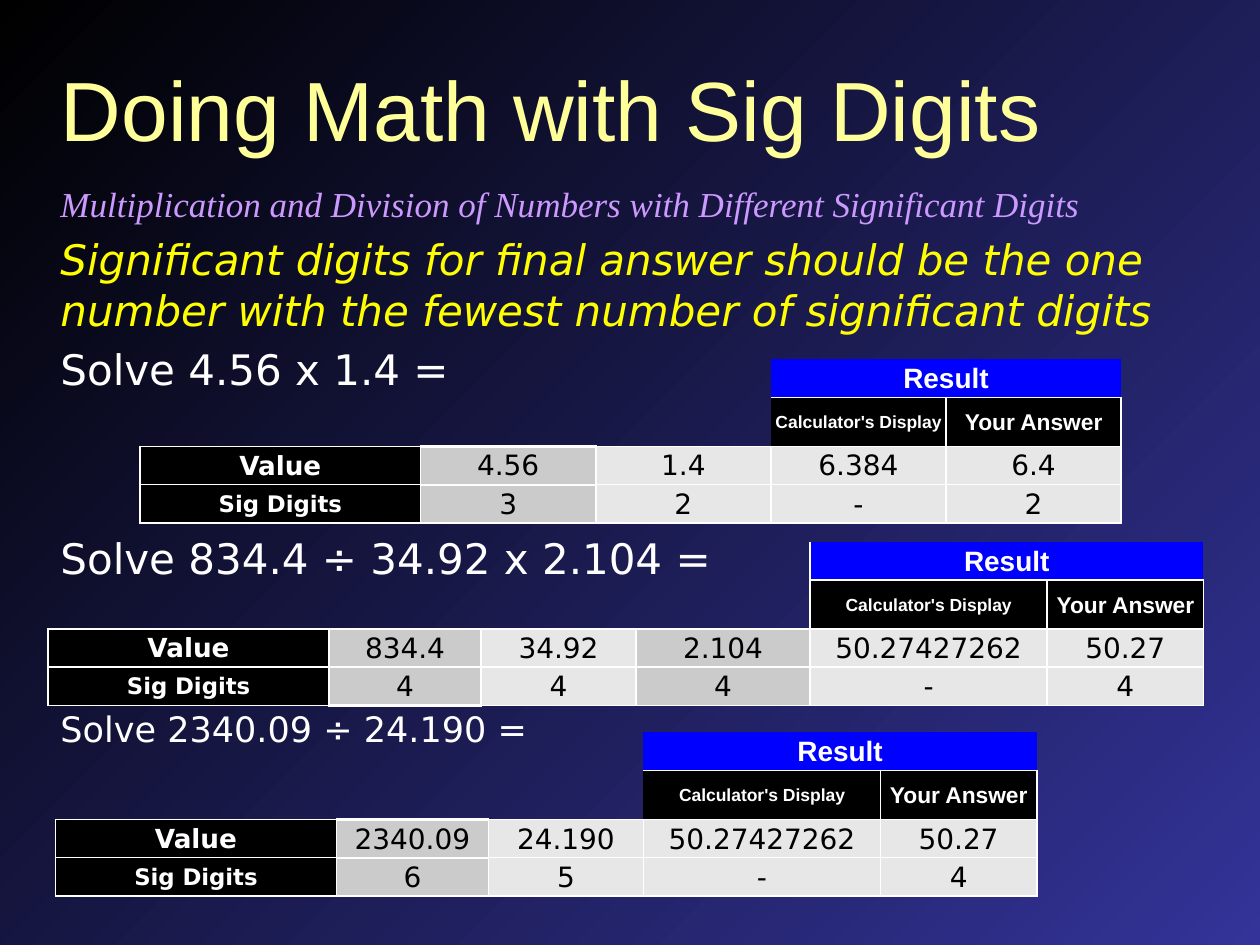
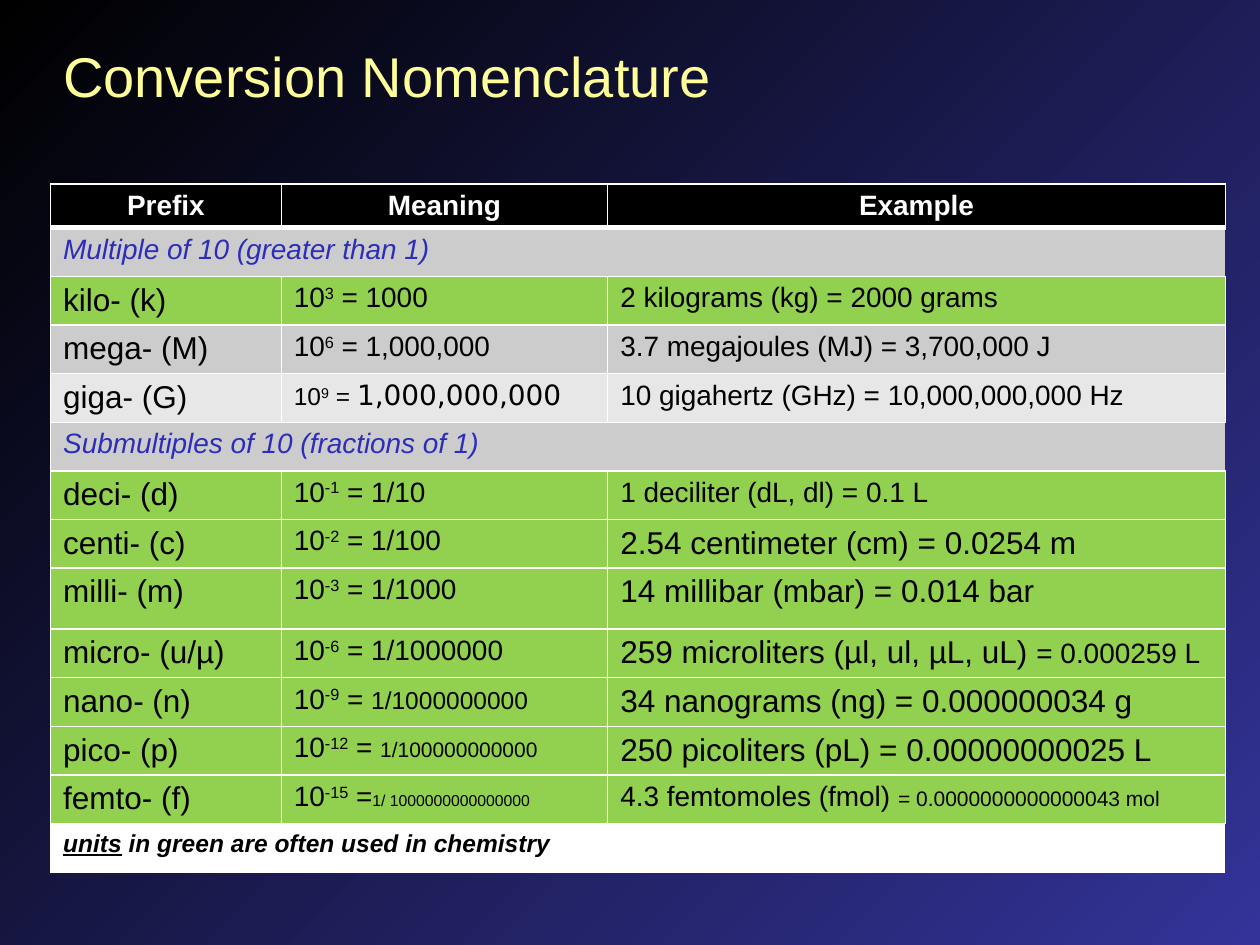
from pptx import Presentation
from pptx.util import Cm, Pt
from pptx.dml.color import RGBColor
from pptx.enum.text import MSO_ANCHOR, MSO_AUTO_SIZE, PP_ALIGN
from pptx.oxml.ns import qn
from lxml.etree import SubElement

hue = RGBColor.from_string
SANS, ROUND = "Arial", "DejaVu Sans"
WHITE, BLACK, GREEN = "FFFFFF", "000000", "92D050"
DARK, LIGHT, GREY, BLUE = "CBCBCB", "E7E7E7", "CCCCCC", "2D2DB9"
NOGRID = "{2D5ABB26-0587-4C30-8999-92F81FD0307C}"


def put(para, text, size, color, face=SANS, bold=False, slant=False, under=False, lift=0):
    run = para.add_run()
    run.text = text
    font = run.font
    font.size, font.name, font.bold, font.italic = Pt(size), face, bold, slant
    font.underline = under
    font.color.rgb = hue(color)
    if lift:
        run._r.get_or_add_rPr().set("baseline", str(lift * 1000))


def trim(cell, tint, sides="LRTB", thick={}):
    edges = cell._tc.get_or_add_tcPr()
    for side in "LRTB":
        if side in sides:
            line = SubElement(edges, qn("a:ln" + side), w=str(Pt(thick.get(side, 1))))
            paint = SubElement(line, qn("a:solidFill"))
            SubElement(paint, qn("a:srgbClr"), val=WHITE)
    if tint:
        cell.fill.solid()
        cell.fill.fore_color.rgb = hue(tint)
    else:
        cell.fill.background()
    cell.text_frame.paragraphs[0]._p.get_or_add_endParaRPr().set("sz", "1000")


deck = Presentation()
deck.slide_width, deck.slide_height = Cm(25.4), Cm(19.05)
back = deck.slide_master.background.fill
back.gradient()
back.gradient_angle = 315
for stop, color in zip(back.gradient_stops, (BLACK, "333399")):
    stop.color.rgb = hue(color)

pages = []
for text, size, left, top, high in [
    ("Doing Math with Sig Digits", 48, 0.97, 1.02, 2.31),
    ("Conversion Nomenclature", 32, 1.02, 0.69, 1.63),
]:
    page = deck.slides.add_slide(deck.slide_layouts[5])
    title = page.shapes.title
    title.left, title.top, title.width, title.height = Cm(left), Cm(top), Cm(23.39), Cm(high)
    frame = title.text_frame
    frame.auto_size = MSO_AUTO_SIZE.NONE
    frame.vertical_anchor = MSO_ANCHOR.MIDDLE
    para = frame.paragraphs[0]
    para.alignment = PP_ALIGN.LEFT
    put(para, text, size, "FFFF99")
    pages.append(page)
math, units = pages

frame = math.shapes.add_textbox(Cm(0.97), Cm(3.5), Cm(23.29), Cm(14.5)).text_frame
frame.word_wrap = True
frame.margin_top = 0
lines = [
    ("Multiplication and Division of Numbers with Different Significant Digits",
     20, "CC99FF", "Times New Roman", True, 0),
    ("Significant digits for final answer should be the one number with the fewest"
     " number of significant digits", 24, "FFFF00", ROUND, True, 5),
    ("Solve 4.56 x 1.4 =", 24, WHITE, ROUND, False, 5),
    ("Solve 834.4 ÷ 34.92 x 2.104 =", 24, WHITE, ROUND, False, 79),
    ("Solve 2340.09 ÷ 24.190 =", 20, WHITE, ROUND, False, 66),
]
for spot, (text, size, color, face, slant, gap) in enumerate(lines):
    para = frame.paragraphs[0] if spot == 0 else frame.add_paragraph()
    para.line_spacing, para.space_before = Pt(29), Pt(gap)
    put(para, text, size, color, face, slant=slant)

sums = [
    (2.82, 7.24, [5.66, 3.53, 3.53, 3.53, 3.53], "",
     ["4.56", "1.4", "6.384", "6.4"], ["3", "2", "-", "2"]),
    (0.97, 10.92, [5.66, 3.07, 3.12, 3.51, 4.78, 3.15], "L",
     ["834.4", "34.92", "2.104", "50.27427262", "50.27"], ["4", "4", "4", "-", "4"]),
    (1.12, 14.76, [5.66, 3.07, 3.12, 4.78, 3.15], "",
     ["2340.09", "24.190", "50.27427262", "50.27"], ["6", "5", "-", "4"]),
]
highs = [0.77, 0.99, 0.77, 0.77]
for left, top, wides, rim, values, digits in sums:
    count = len(wides)
    first = count - 2
    grid = math.shapes.add_table(4, count, Cm(left), Cm(top), Cm(sum(wides)), Cm(sum(highs))).table
    grid._tbl.tblPr.find(qn("a:tableStyleId")).text = NOGRID
    grid.first_row = grid.horz_banding = False
    for col, wide in zip(grid.columns, wides):
        col.width = Cm(wide)
    for row, high in zip(grid.rows, highs):
        row.height = Cm(high)
    blank = [""] * first
    rows = [
        blank + ["Result", ""],
        blank + ["Calculator's Display", "Your Answer"],
        ["Value"] + values,
        ["Sig Digits"] + digits,
    ]
    for y, row in enumerate(rows):
        for x, text in enumerate(row):
            cell = grid.cell(y, x)
            cell.margin_left = cell.margin_right = cell.margin_top = Cm(0.03)
            cell.margin_bottom = 0
            cell.vertical_anchor = MSO_ANCHOR.MIDDLE
            para = cell.text_frame.paragraphs[0]
            para.alignment = PP_ALIGN.CENTER
            size, color, face, bold = 16, WHITE, SANS, True
            sides, thick = "LRTB", {}
            if y < 2 and x < first:
                tint, sides = None, ""
            elif y == 0:
                tint, sides = "0000FF", "B" + (rim if x == first else "")
            elif y == 1:
                tint, size = BLACK, 10 if x == first else 13
                sides = "RTB" + rim if x == first else "LRTB"
            elif x == 0:
                tint, size, face = BLACK, 15 if y == 2 else 13, ROUND
            else:
                tint = DARK if x % 2 and x < first else LIGHT
                color, face, bold = BLACK, ROUND, False
                thick = {"T": 1.5, "B": 1.5} if x == 1 else {}
            if text:
                put(para, text, size, color, face, bold)
            trim(cell, tint, sides, thick)
    grid.cell(0, first).merge(grid.cell(0, first + 1))

wides = [4.65, 6.58, 12.45]
highs = [0.88] + [0.98] * 7 + [1.23] + [0.98] * 5
grid = units.shapes.add_table(14, 3, Cm(1.02), Cm(3.71), Cm(sum(wides)), Cm(sum(highs))).table
grid._tbl.tblPr.find(qn("a:tableStyleId")).text = NOGRID
grid.first_row = grid.horz_banding = False
for col, wide in zip(grid.columns, wides):
    col.width = Cm(wide)
for row, high in zip(grid.rows, highs):
    row.height = Cm(high)

for x, text in enumerate(["Prefix", "Meaning", "Example"]):
    cell = grid.cell(0, x)
    cell.vertical_anchor = MSO_ANCHOR.BOTTOM
    para = cell.text_frame.paragraphs[0]
    para.alignment = PP_ALIGN.CENTER
    put(para, text, 16, WHITE, bold=True)
    trim(cell, BLACK, thick={"B": 3})

bands = [
    (1, GREY, [("Multiple of 10 (greater than 1)", 16, BLUE, False, False)]),
    (5, GREY, [("Submultiples of 10 (fractions of 1)", 16, BLUE, False, False)]),
    (13, WHITE, [("units", 14, BLACK, True, True),
                 (" in green are often used in chemistry", 14, BLACK, True, False)]),
]
for y, tint, parts in bands:
    for x, sides in enumerate(["LTB", "TB", "RTB"]):
        trim(grid.cell(y, x), tint, sides, {"T": 3} if y == 1 else {})
    grid.cell(y, 0).merge(grid.cell(y, 2))
    para = grid.cell(y, 0).text_frame.paragraphs[0]
    for text, size, color, bold, under in parts:
        put(para, text, size, color, bold=bold, slant=True, under=under)

facts = [
    (2, GREEN, "kilo- (k)", "3", " = ", "1000", 16, [("2 kilograms (kg) = 2000 grams", 16)]),
    (3, GREY, "mega- (M)", "6", " = ", "1,000,000", 16,
     [("3.7 megajoules (MJ) = 3,700,000 J", 16)]),
    (4, LIGHT, "giga- (G)", "9", " = ", "1,000,000,000", 16,
     [("10 gigahertz (GHz) = 10,000,000,000 Hz", 16)]),
    (6, GREEN, "deci- (d)", "-1", " = ", "1/10", 16, [("1 deciliter (dL, dl) = 0.1 L", 16)]),
    (7, GREEN, "centi- (c)", "-2", " = ", "1/100", 16, [("2.54 centimeter (cm) = 0.0254 m", 18)]),
    (8, GREEN, "milli- (m)", "-3", " = ", "1/1000", 16, [("14 millibar (mbar) = 0.014 bar", 18)]),
    (9, GREEN, "micro- (u/µ)", "-6", " = ", "1/1000000", 16,
     [("259 microliters (µl, ul, µL, uL) ", 18), ("= 0.000259 L", 16)]),
    (10, GREEN, "nano- (n)", "-9", " = ", "1/1000000000", 14,
     [("34 nanograms (ng) = 0.000000034 g", 18)]),
    (11, GREEN, "pico- (p)", "-12", " = ", "1/100000000000", 12,
     [("250 picoliters (pL) = 0.00000000025 L", 18)]),
    (12, GREEN, "femto- (f)", "-15", " =", "1/ 1000000000000000", 9,
     [("4.3 femtomoles (fmol) ", 16), ("= 0.0000000000000043 mol", 12)]),
]
for y, tint, name, power, equals, value, size, parts in facts:
    cells = [grid.cell(y, x) for x in range(3)]
    paras = [cell.text_frame.paragraphs[0] for cell in cells]
    giga = tint == LIGHT
    base = 14 if giga else 16
    put(paras[0], name, 18, BLACK)
    put(paras[1], "10", base, BLACK)
    put(paras[1], power, base, BLACK, lift=30)
    put(paras[1], equals, base, BLACK)
    put(paras[1], value, size, BLACK, ROUND if giga else SANS)
    for text, size in parts:
        put(paras[2], text, size, BLACK)
    for cell in cells:
        trim(cell, tint)

deck.save("out.pptx")
